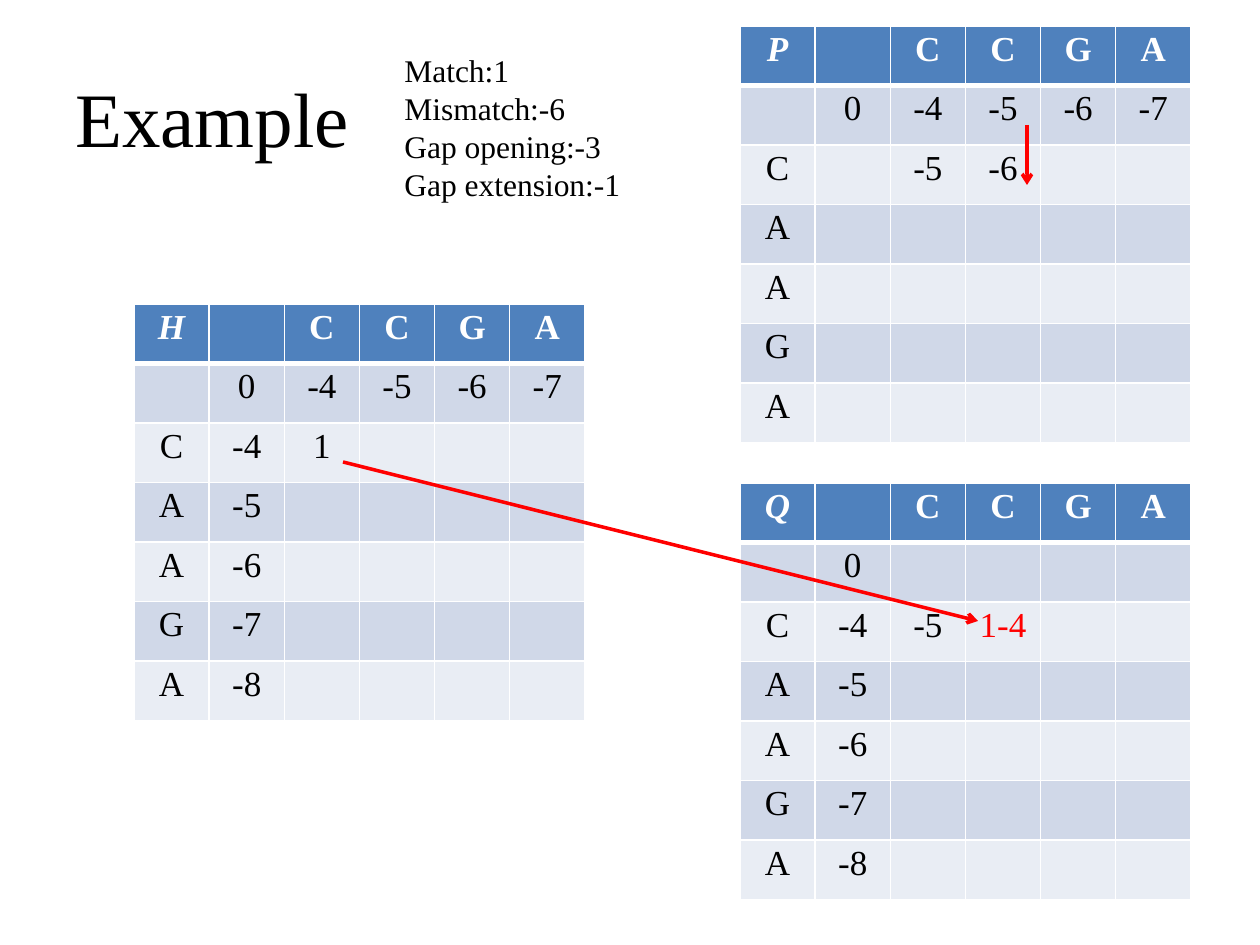
"""Build the affine-gap alignment example with its H, P and Q score matrices."""
from lxml import etree
from pptx import Presentation, util as u
from pptx.dml.color import RGBColor
from pptx.enum import shapes, text
from pptx.oxml import ns

PX = 914400 / 126
FONT = "Times New Roman"
BLACK, WHITE, RED = "000000", "FFFFFF", "FF0000"


def px(*lengths):
    return [u.Emu(round(length * PX)) for length in lengths]


def paint(target, colour):
    if hasattr(target, "solid"):
        target.solid()
        target = target.fore_color
    target.rgb = RGBColor.from_string(colour)


deck = Presentation()
deck.slide_width, deck.slide_height = px(1260, 945)
slide = deck.slides.add_slide(deck.slide_layouts[6])

scoring = "Match:1\nMismatch:-6\nGap opening:-3\nGap extension:-1"
for wording, place, size, anchor, wrap in (
    ("Example", (63, 38, 1134, 158), 44, text.MSO_ANCHOR.MIDDLE, True),
    (scoring, (392, 45, 243, 165), 18, text.MSO_ANCHOR.TOP, False),
):
    frame = slide.shapes.add_textbox(*px(*place)).text_frame
    frame.text = wording
    frame.word_wrap = wrap
    frame.vertical_anchor = anchor
    for paragraph in frame.paragraphs:
        for run in paragraph.runs:
            run.font.name, run.font.size = FONT, u.Pt(size)
            paint(run.font.color, BLACK)

gap_row = ["", "0", "-4", "-5", "-6", "-7"]
bases = "CAAGA"
gap_column = [[base, str(-4 - step)] for step, base in enumerate(bases)]
matrices = (
    ("H", 134, 304, [gap_row, ["C", "-4", "1"], *gap_column[1:]]),
    ("P", 740, 26, [gap_row, ["C", "", "-5", "-6"], *bases[1:]]),
    ("Q", 740, 483, [["", "0"], ["C", "-4", "-5", "1-4"], *gap_column[1:]]),
)
width, height = px(451, 417)
for title, left, top, scores in matrices:
    rows = [[title, "", "C", "C", "G", "A"], *scores]
    grid = slide.shapes.add_table(len(rows), 6, *px(left, top), width, height).table
    for column in grid.columns:
        column.width = width // 6
    for r, row in enumerate(rows):
        grid.rows[r].height = height // len(rows)
        for c in range(6):
            cell = grid.cell(r, c)
            cell.margin_left, cell.margin_right, cell.margin_top, cell.margin_bottom = px(8, 8, 4, 4)
            for side in ("lnL", "lnR", "lnT", "lnB"):
                heavy = (r, side) in ((0, "lnB"), (1, "lnT"))
                edge = etree.SubElement(cell._tc.get_or_add_tcPr(), ns.qn("a:" + side),
                                        w=str(u.Pt(3 if heavy else 1)))
                edge_fill = etree.SubElement(edge, ns.qn("a:solidFill"))
                etree.SubElement(edge_fill, ns.qn("a:srgbClr"), val=WHITE)
            paint(cell.fill, "4F81BD" if r == 0 else ("E9EDF4", "D0D8E8")[r % 2])
            score = row[c] if c < len(row) else ""
            if score:
                cell.text_frame.text = score
                paragraph = cell.text_frame.paragraphs[0]
                paragraph.alignment = text.PP_ALIGN.CENTER
                font = paragraph.runs[0].font
                font.name, font.size = FONT, u.Pt(20)
                font.bold, font.italic = r == 0, (r, c) == (0, 0)
                paint(font.color, WHITE if r == 0 else RED if score == "1-4" else BLACK)

for ends in ((343, 462, 978, 621), (1027, 125, 1027, 185)):
    step_arrow = slide.shapes.add_connector(shapes.MSO_CONNECTOR.STRAIGHT, *px(*ends))
    step_arrow.line.width = u.Pt(2)
    paint(step_arrow.line.fill, RED)
    etree.SubElement(step_arrow.line._get_or_add_ln(), ns.qn("a:tailEnd"), type="arrow")
    etree.SubElement(step_arrow._element.spPr, ns.qn("a:effectLst"))

deck.save("out.pptx")
